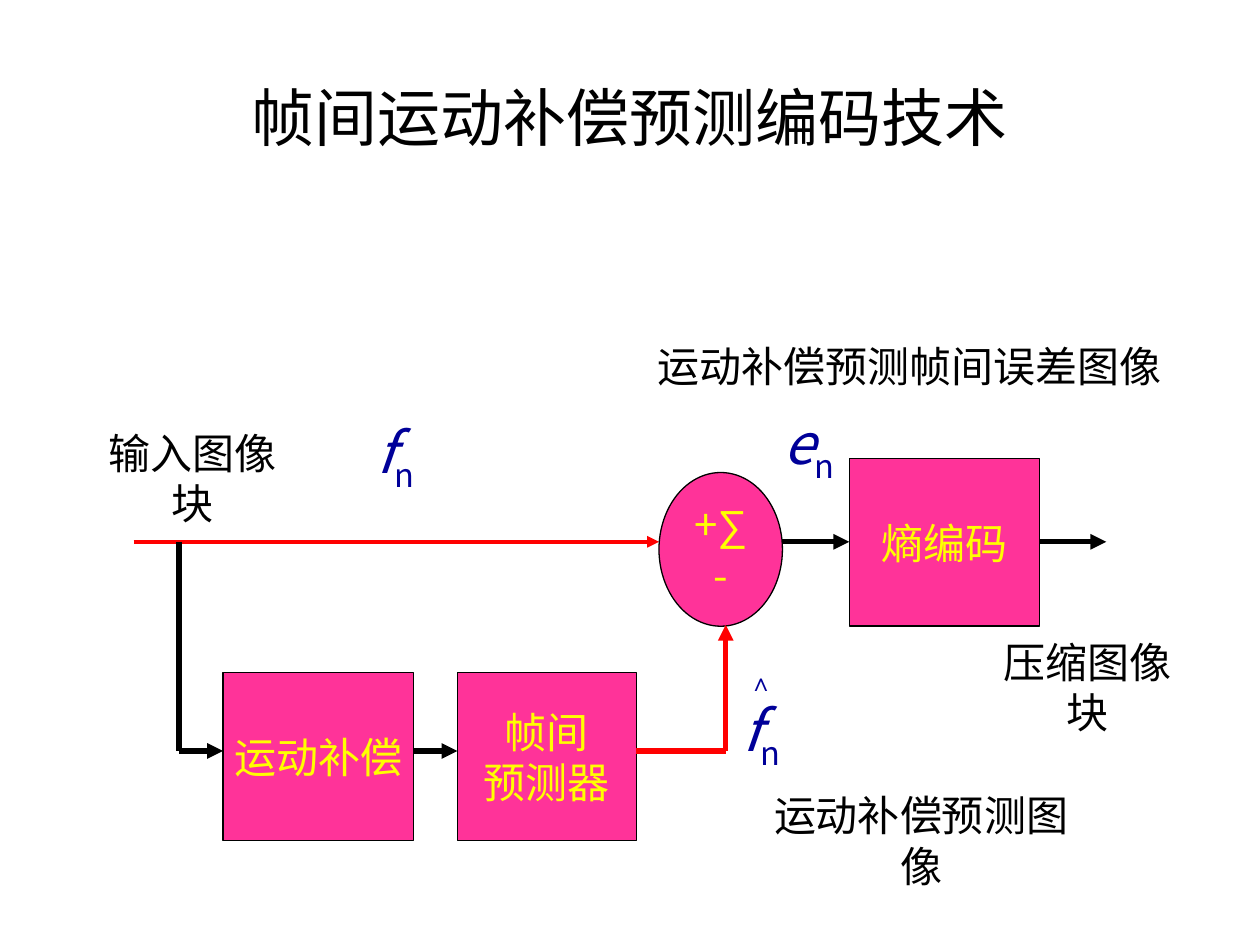
from dataclasses import dataclass
from lxml import etree
from pptx import Presentation, util as u
from pptx.dml.color import RGBColor
from pptx.enum import shapes, text
from pptx.oxml.ns import qn

SCALE = 9144


@dataclass(frozen=True)
class Theme:
    ink: str = "000000"
    pink: str = "FF3399"
    gold: str = "FFFF00"
    navy: str = "000099"
    red: str = "FF0000"
    font: str = "Noto Sans CJK SC"
    latin: str = "Arial"
    head: int = 36
    body: int = 24
    math: int = 32


def px(n):
    return u.Emu(n * SCALE)


def rgb(code):
    return RGBColor.from_string(code)


def sub(parent, tag, **attrs):
    return etree.SubElement(parent, qn(tag), **attrs)


def add_run(para, words, size, color, font, cjk, bold=False, slant=False, base=0):
    run = para.add_run()
    run.text = words
    face = run.font
    face.size = u.Pt(size)
    face.bold = bold
    face.italic = slant
    face.color.rgb = rgb(color)
    face.name = font
    props = run._r.get_or_add_rPr()
    sub(props, "a:ea", typeface=cjk)
    if base:
        props.set("baseline", str(base * 1000))


def write(frame, rows, wrap=False, grow=False, **style):
    frame.word_wrap = wrap
    frame.vertical_anchor = text.MSO_ANCHOR.MIDDLE
    fit = text.MSO_AUTO_SIZE
    frame.auto_size = fit.SHAPE_TO_FIT_TEXT if grow else fit.NONE
    for i, row in enumerate(rows):
        para = frame.add_paragraph() if i else frame.paragraphs[0]
        para.alignment = text.PP_ALIGN.CENTER
        for words, extra in row:
            add_run(para, words, **{**style, **extra})


class Board:
    def __init__(self, slide, theme):
        self.slide = slide
        self.theme = theme

    def style(self, color, size):
        font = self.theme.font
        return dict(color=color, size=size, font=font, cjk=font)

    def title(self, box, words):
        item = self.slide.shapes.add_textbox(*map(px, box))
        look = self.style(self.theme.ink, self.theme.head)
        look["font"] = self.theme.latin
        write(item.text_frame, [[(words, {})]], wrap=True, **look)

    def label(self, box, words):
        item = self.slide.shapes.add_textbox(*map(px, box))
        look = self.style(self.theme.ink, self.theme.body)
        write(item.text_frame, [[(words, {})]], grow=True, **look)

    def symbol(self, box, name, hat=False):
        item = self.slide.shapes.add_textbox(*map(px, box))
        look = self.style(self.theme.navy, self.theme.math)
        rows = [[(name, dict(slant=True)), ("n", dict(base=-25))]]
        if hat:
            mark = dict(size=self.theme.body, font=self.theme.latin, bold=True, base=-25)
            rows.insert(0, [("∧", mark)])
        write(item.text_frame, rows, grow=True, **look)

    def block(self, box, rows, kind=shapes.MSO_SHAPE.RECTANGLE):
        item = self.slide.shapes.add_shape(kind, *map(px, box))
        item.shadow.inherit = False
        item.fill.solid()
        item.fill.fore_color.rgb = rgb(self.theme.pink)
        item.line.color.rgb = rgb(self.theme.ink)
        item.line.width = u.Pt(0.75)
        write(item.text_frame, rows, **self.style(self.theme.gold, self.theme.body))

    def line(self, start, end, color=None, width=3, arrow=True):
        ends = map(px, (*start, *end))
        item = self.slide.shapes.add_connector(shapes.MSO_CONNECTOR.STRAIGHT, *ends)
        item.line.color.rgb = rgb(color or self.theme.ink)
        item.line.width = u.Pt(width)
        if arrow:
            sub(item.line._get_or_add_ln(), "a:tailEnd", type="triangle")
        sub(item._element.spPr, "a:effectLst")


def main():
    deck = Presentation()
    deck.slide_width, deck.slide_height = px(1000), px(750)
    theme = Theme()
    board = Board(deck.slides.add_slide(deck.slide_layouts[6]), theme)
    board.title((50, 30, 900, 125), "帧间运动补偿预测编码技术")

    top, low = 430, 596
    board.line((106, top), (523, top), theme.red, 2.25)
    total = [[("+", {}), ("∑", dict(font=theme.latin))], [("-", {})]]
    board.block((523, 375, 98, 122), total, shapes.MSO_SHAPE.OVAL)
    for box, rows in (
        ((674, 364, 151, 133), ["熵编码"]),
        ((363, 534, 142, 133), ["帧间", "预测器"]),
        ((177, 534, 151, 133), ["运动补偿"]),
    ):
        board.block(box, [[(row, {})] for row in rows])

    board.line((505, low), (576, low), theme.red, arrow=False)
    board.line((576, low), (576, 496), theme.red)
    board.line((142, top), (142, low), arrow=False)
    for left, right, y in (
        (142, 177, low), (328, 363, low), (621, 674, top), (825, 878, top),
    ):
        board.line((left, y), (right, y))

    for box, words in (
        ((770, 520, 186, 50), "压缩图像块"),
        ((60, 354, 186, 50), "输入图像块"),
        ((512, 265, 420, 50), "运动补偿预测帧间误差图像"),
        ((588, 642, 286, 50), "运动补偿预测图像"),
    ):
        board.label(box, words)
    board.symbol((611, 319, 62, 71), "e")
    board.symbol((283, 326, 62, 71), "f")
    board.symbol((573, 502, 62, 116), "f", hat=True)
    deck.save("out.pptx")


if __name__ == "__main__":
    main()
